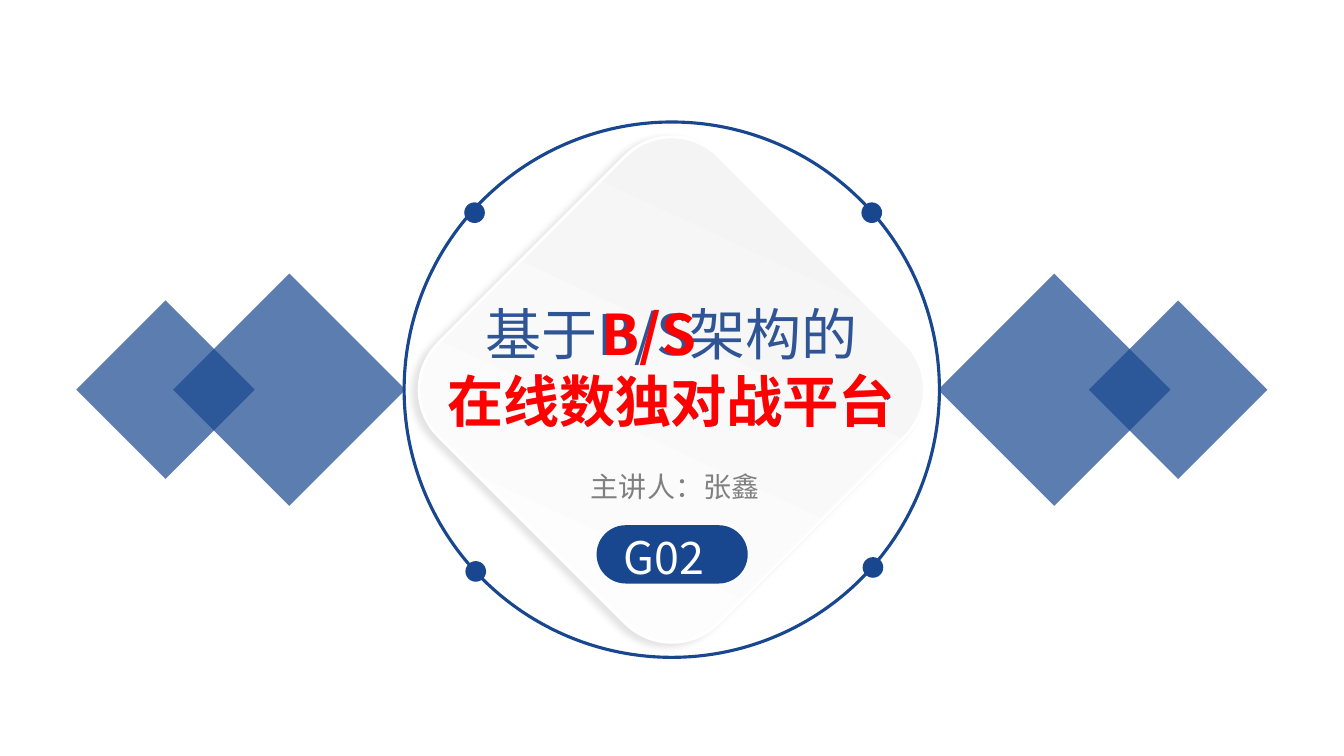
import pptx
import pptx.util
import pptx.dml.color
import pptx.enum.shapes
import pptx.enum.text
import pptx.oxml
import pptx.oxml.ns
from lxml import etree

Cm, Pt = pptx.util.Cm, pptx.util.Pt
RGBColor = pptx.dml.color.RGBColor
MSO_SHAPE = pptx.enum.shapes.MSO_SHAPE
PP_ALIGN = pptx.enum.text.PP_ALIGN
qn = pptx.oxml.ns.qn

NAVY = RGBColor(0x18, 0x47, 0x8F)
TITLE_BLUE = RGBColor(0x2F, 0x55, 0x97)
RED = RGBColor(0xFF, 0x00, 0x00)
GREY = RGBColor(0x80, 0x80, 0x80)
PALE = RGBColor(0xF2, 0xF2, 0xF2)
WHITE = RGBColor(0xFF, 0xFF, 0xFF)

CJK = "Noto Sans CJK SC"
CENTER_X, CENTER_Y = 16.93, 9.82
PLATE_SHADOW = (
    '<a:effectLst xmlns:a="http://schemas.openxmlformats.org/drawingml/2006/main">'
    '<a:outerShdw blurRad="63500" dist="63500" dir="9600000" rotWithShape="0">'
    '<a:srgbClr val="000000"><a:alpha val="11000"/></a:srgbClr>'
    '</a:outerShdw></a:effectLst>'
)


def add_shape(slide, kind, cx, cy, width, height, fill=None):
    """Add a shape without line or shadow, placed by its centre in cm."""
    sp = slide.shapes.add_shape(kind, Cm(cx - width / 2), Cm(cy - height / 2),
                                Cm(width), Cm(height))
    sp.shadow.inherit = False
    sp.line.fill.background()
    if fill is None:
        sp.fill.background()
    else:
        sp.fill.solid()
        sp.fill.fore_color.rgb = fill
    return sp


def add_diamond(slide, cx, size, rotation):
    sp = add_shape(slide, MSO_SHAPE.RECTANGLE, cx, CENTER_Y, size, size, NAVY)
    sp.rotation = rotation
    color = sp.fill._xPr.find(qn("a:solidFill")).find(qn("a:srgbClr"))
    etree.SubElement(color, qn("a:alpha"), val="70000")


def add_plate(slide):
    sp = add_shape(slide, MSO_SHAPE.ROUNDED_RECTANGLE, CENTER_X, CENTER_Y, 9.98, 9.98)
    sp.rotation = 45
    sp.fill.gradient()
    sp.fill.gradient_angle = 110
    for stop, color, position in zip(sp.fill.gradient_stops, (WHITE, PALE), (0, 1)):
        stop.color.rgb = color
        stop.position = position
    sp.line.color.rgb = WHITE
    sp.line.width = Pt(2)
    effects = sp._element.spPr.find(qn("a:effectLst"))
    effects.getparent().replace(effects, pptx.oxml.parse_xml(PLATE_SHADOW))


def add_ring(slide):
    sp = add_shape(slide, MSO_SHAPE.OVAL, CENTER_X, CENTER_Y, 13.49, 13.49)
    sp.line.color.rgb = NAVY
    sp.line.width = Pt(2.25)


def add_text(slide, lines, box, size, color, font=CJK, bold=False, align=PP_ALIGN.LEFT):
    tf = slide.shapes.add_textbox(*map(Cm, box)).text_frame
    tf.word_wrap = True
    tf.text = "\n".join(lines)
    for p in tf.paragraphs:
        p.alignment = align
        p.font.size = Pt(size)
        p.font.name = font
        p.font.bold = bold
        p.font.color.rgb = color
        if font == CJK:
            for r in p.runs:
                etree.SubElement(r._r.get_or_add_rPr(), qn("a:ea"), typeface=font)


def main():
    prs = pptx.Presentation()
    prs.slide_width, prs.slide_height = Cm(33.87), Cm(19.05)
    slide = prs.slides.add_slide(prs.slide_layouts[6])

    for side, rotation in ((-1, 45), (1, 225)):
        for offset, size in ((9.64, 4.14), (12.76, 3.18)):
            add_diamond(slide, CENTER_X + side * offset, size, rotation)
    add_plate(slide)
    add_ring(slide)

    add_text(slide, ["基于B/S架构的", "在线数独对战平台"], (10.39, 7.42, 13.08, 3.68),
             40, TITLE_BLUE, align=PP_ALIGN.CENTER)
    for cx, cy in ((11.96, 5.36), (22, 14.3), (11.99, 14.4), (21.97, 5.36)):
        add_shape(slide, MSO_SHAPE.OVAL, cx, cy, 0.52, 0.52, NAVY)
    for word, left, top, width in (("B/S", 14.91, 7.42, 3.1), ("在线", 11.02, 9.12, 3.76),
                                   ("数独对战", 13.84, 9.12, 6.88), ("平台", 19.48, 9.12, 4.09)):
        add_text(slide, [word], (left, top, width, 1.96), 40, RED, bold=True)

    pill = add_shape(slide, MSO_SHAPE.ROUNDED_RECTANGLE, 16.94, 13.97, 3.81, 1.47, NAVY)
    pill.adjustments[0] = 0.5
    add_text(slide, ["G02"], (15.47, 13.23, 3.38, 1.63), 32, WHITE)
    add_text(slide, ["主讲人：张鑫"], (13.41, 11.71, 7.21, 1.12), 20, GREY,
             font="Arial", align=PP_ALIGN.CENTER)
    prs.save("out.pptx")


if __name__ == "__main__":
    main()
